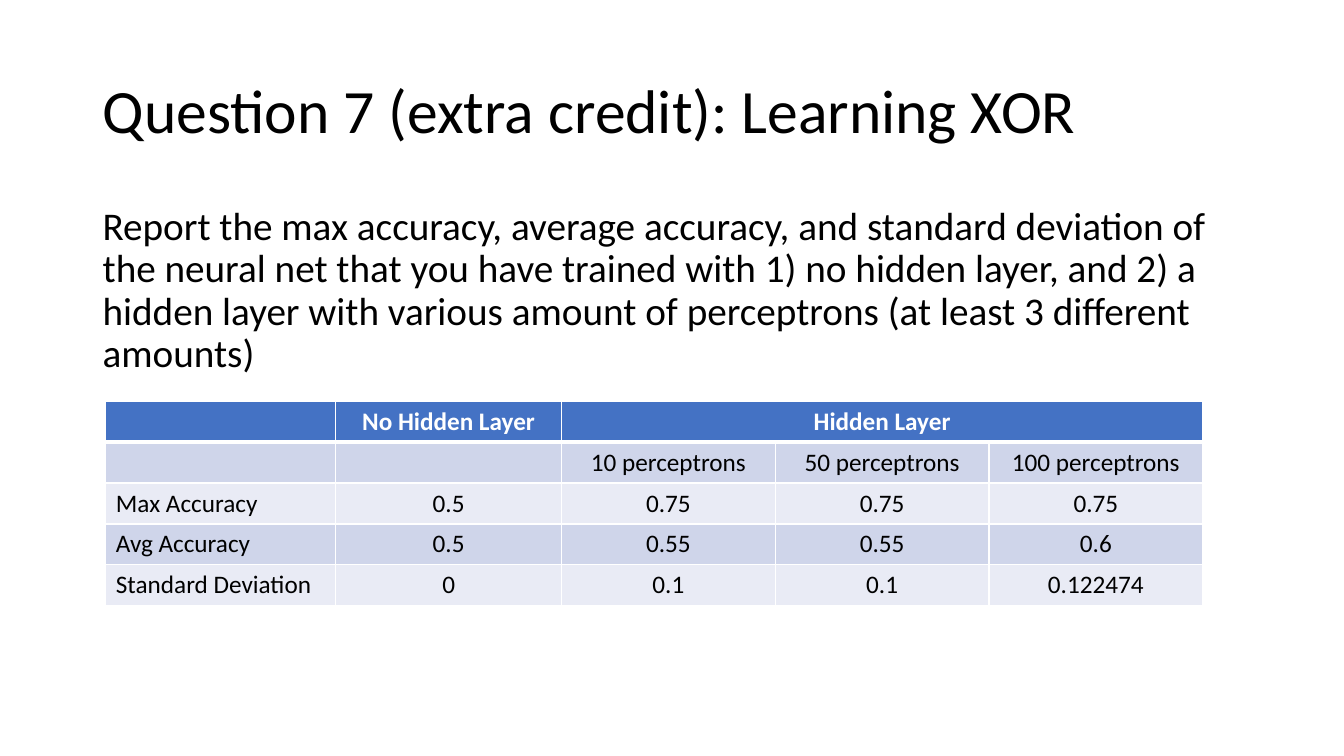
from lxml import etree
from pptx import Presentation, util as u
from pptx.dml.color import RGBColor
from pptx.enum import text
from pptx.oxml import ns

COLORS = {"black": "000000", "white": "FFFFFF", "header": "4472C4",
          "dark_band": "CFD5EA", "light_band": "E9EBF5"}
FONT = "Calibri"


def style_paragraph(para, size, color, align, bold=False):
    para.font.name = FONT
    para.font.size = u.Pt(size)
    para.font.bold = bold
    para.font.color.rgb = RGBColor.from_string(COLORS[color])
    para.alignment = align


def add_border(cell, side, points):
    line = etree.SubElement(cell._tc.get_or_add_tcPr(), ns.qn(f"a:ln{side}"), w=str(u.Pt(points)))
    fill = etree.SubElement(line, ns.qn("a:solidFill"))
    etree.SubElement(fill, ns.qn("a:srgbClr"), val=COLORS["white"])


deck = Presentation()
deck.slide_width = u.Inches(13.33)
deck.slide_height = u.Inches(7.5)
page = deck.slides.add_slide(deck.slide_layouts[5])

title = page.shapes.title
title.left, title.top = u.Inches(0.92), u.Inches(0.4)
title.width, title.height = u.Inches(11.5), u.Inches(1.45)
title.text_frame.text = "Question 7 (extra credit): Learning XOR"
title.text_frame.vertical_anchor = text.MSO_ANCHOR.MIDDLE
title_para = title.text_frame.paragraphs[0]
style_paragraph(title_para, 44, "black", text.PP_ALIGN.LEFT)
title_para.line_spacing = 0.9

box = page.shapes.add_textbox(u.Inches(0.92), u.Inches(2), u.Inches(11.5), u.Inches(4.76))
box.text_frame.word_wrap = True
task_para = box.text_frame.paragraphs[0]
task_para.text = (
    "Report the max accuracy, average accuracy, and standard deviation of the neural net "
    "that you have trained with 1) no hidden layer, and 2) a hidden layer with various "
    "amount of perceptrons (at least 3 different amounts)"
)
style_paragraph(task_para, 28, "black", text.PP_ALIGN.LEFT)
task_para.line_spacing = 0.9
task_para.space_before = u.Pt(10)

results = [
    ["", "No Hidden Layer", "Hidden Layer", "", ""],
    ["", "", "10 perceptrons", "50 perceptrons", "100 perceptrons"],
    ["Max Accuracy", "0.5", "0.75", "0.75", "0.75"],
    ["Avg Accuracy", "0.5", "0.55", "0.55", "0.6"],
    ["Standard Deviation", "0", "0.1", "0.1", "0.122474"],
]
column_widths = [2.28, 2.24, 2.12, 2.12, 2.12]

table = page.shapes.add_table(
    len(results), len(column_widths),
    u.Inches(1.05), u.Inches(3.98), u.Inches(10.88), u.Inches(2.03),
).table
for column, width in zip(table.columns, column_widths):
    column.width = u.Inches(width)

for row, values in enumerate(results):
    is_header = row == 0
    band = "header" if is_header else ("light_band", "dark_band")[row % 2]
    for col, value in enumerate(values):
        cell = table.cell(row, col)
        cell.text = value
        style_paragraph(
            cell.text_frame.paragraphs[0], 18, "white" if is_header else "black",
            text.PP_ALIGN.CENTER if col else text.PP_ALIGN.LEFT, bold=is_header,
        )
        borders = {"L": 1, "R": 1, "T": 3 if row == 1 else 1, "B": 3 if is_header else 1}
        for side, points in borders.items():
            add_border(cell, side, points)
        cell.fill.solid()
        cell.fill.fore_color.rgb = RGBColor.from_string(COLORS[band])

table.cell(0, 2).merge(table.cell(0, 4))

deck.save("out.pptx")
